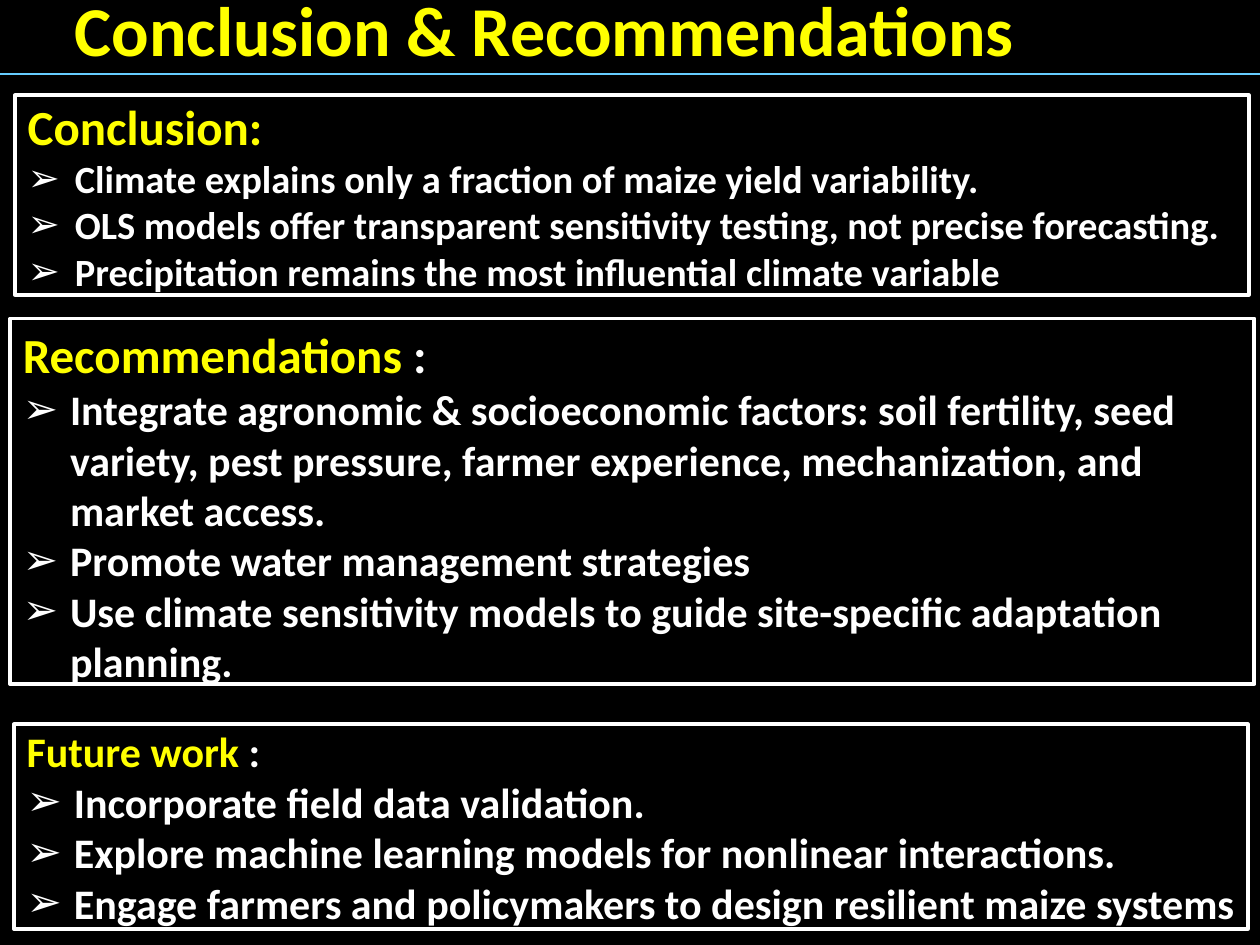
"""Build the conclusion, recommendations and future work slide."""
from dataclasses import dataclass

from lxml import etree
from pptx import Presentation
from pptx.dml.color import RGBColor
from pptx.enum.shapes import MSO_CONNECTOR
from pptx.enum.text import MSO_ANCHOR, MSO_AUTO_SIZE, PP_ALIGN
from pptx.oxml.ns import qn
from pptx.util import Pt

STRAIGHT = MSO_CONNECTOR.STRAIGHT
TOP, MIDDLE = MSO_ANCHOR.TOP, MSO_ANCHOR.MIDDLE
GROW = MSO_AUTO_SIZE.SHAPE_TO_FIT_TEXT
LEFT, CENTER = PP_ALIGN.LEFT, PP_ALIGN.CENTER
COMPARISON_LAYOUT = 4
FONT = "Calibri"
BULLET = "➢"
HANGING = Pt(27)
COLORS = {"background": "000000", "heading": "FFFF00", "text": "FFFFFF", "rule": "66CCFF"}


@dataclass(frozen=True)
class Section:
    """A framed list with its heading; the box is left, top, width, height in points."""
    box: tuple[float, float, float, float]
    heading: str
    heading_tail: str
    heading_size: int
    item_size: int
    items: tuple[str, ...]
    anchor: MSO_ANCHOR = MIDDLE


SECTIONS = (
    Section((8.6, 51, 705, 121), "Conclusion:", "", 28, 22, (
        "Climate explains only a fraction of maize yield variability.",
        "OLS models offer transparent sensitivity testing, not precise forecasting.",
        "Precipitation remains the most influential climate variable",
    )),
    Section((5.8, 182, 711, 216), "Recommendations ", ":", 28, 24, (
        "Integrate agronomic & socioeconomic factors: soil fertility, seed variety, "
        "pest pressure, farmer experience, mechanization, and market access.",
        "Promote water management strategies",
        "Use climate sensitivity models to guide site-specific adaptation planning.",
    ), TOP),
    Section((8, 410.4, 705, 124), "Future work ", ":", 24, 24, (
        "Incorporate field data validation.",
        "Explore machine learning models for nonlinear interactions.",
        "Engage farmers and policymakers to design resilient maize systems",
    )),
)


def color(name: str) -> RGBColor:
    """Look up a named colour."""
    return RGBColor.from_string(COLORS[name])


def place(placeholder, box: tuple[float, float, float, float], anchor: MSO_ANCHOR) -> None:
    """Move a placeholder and set how its text sits."""
    placeholder.left, placeholder.top, placeholder.width, placeholder.height = map(Pt, box)
    frame = placeholder.text_frame
    frame.word_wrap = True
    frame.auto_size = GROW
    frame.vertical_anchor = anchor


def format_paragraph(paragraph, size: int, color_name: str, alignment: PP_ALIGN = LEFT) -> None:
    """Set the spacing, alignment and font of a paragraph."""
    paragraph.alignment = alignment
    paragraph.space_before = Pt(0)
    font = paragraph.font
    font.name, font.size, font.bold = FONT, Pt(size), True
    font.color.rgb = color(color_name)


def set_bullet(paragraph, bulleted: bool) -> None:
    """Give a paragraph a hanging arrow bullet, or none."""
    properties = paragraph._p.get_or_add_pPr()
    hanging = HANGING if bulleted else 0
    properties.set("marL", str(hanging))
    properties.set("indent", str(-hanging))
    bullet = etree.SubElement(properties, qn("a:buChar" if bulleted else "a:buNone"))
    if bulleted:
        bullet.set("char", BULLET)


def fill_section(placeholder, section: Section) -> None:
    """Frame a body placeholder and write its heading and list."""
    place(placeholder, section.box, section.anchor)
    placeholder.line.color.rgb = color("text")
    placeholder.line.width = Pt(2.25)
    frame = placeholder.text_frame
    heading = frame.paragraphs[0]
    set_bullet(heading, False)
    format_paragraph(heading, section.heading_size, "heading")
    heading.add_run().text = section.heading
    if section.heading_tail:
        tail = heading.add_run()
        tail.text = section.heading_tail
        tail.font.color.rgb = color("text")
    for item in section.items:
        entry = frame.add_paragraph()
        set_bullet(entry, True)
        format_paragraph(entry, section.item_size, "text")
        entry.text = item


def add_rule(slide, y: float, width: float) -> None:
    """Draw the thin line under the title."""
    rule = slide.shapes.add_connector(STRAIGHT, 0, Pt(y), Pt(width), Pt(y))
    rule.line.color.rgb = color("rule")
    rule.line.width = Pt(1)
    etree.SubElement(rule._element.spPr, qn("a:effectLst"))


def main() -> None:
    """Build and save the slide."""
    deck = Presentation()
    deck.slide_width, deck.slide_height = Pt(720), Pt(540)
    slide = deck.slides.add_slide(deck.slide_layouts[COMPARISON_LAYOUT])
    slide.background.fill.solid()
    slide.background.fill.fore_color.rgb = color("background")

    title = slide.shapes.title
    place(title, (26.6, -11.5, 569, 55.5), MIDDLE)
    title.text_frame.text = "Conclusion & Recommendations"
    format_paragraph(title.text_frame.paragraphs[0], 40, "heading", CENTER)
    add_rule(slide, 42.5, 720)

    bodies = list(slide.placeholders)[1:]
    for body, section in zip(bodies, SECTIONS):
        fill_section(body, section)
    for unused in bodies[len(SECTIONS):]:
        unused._element.getparent().remove(unused._element)
    deck.save("out.pptx")


if __name__ == "__main__":
    main()
